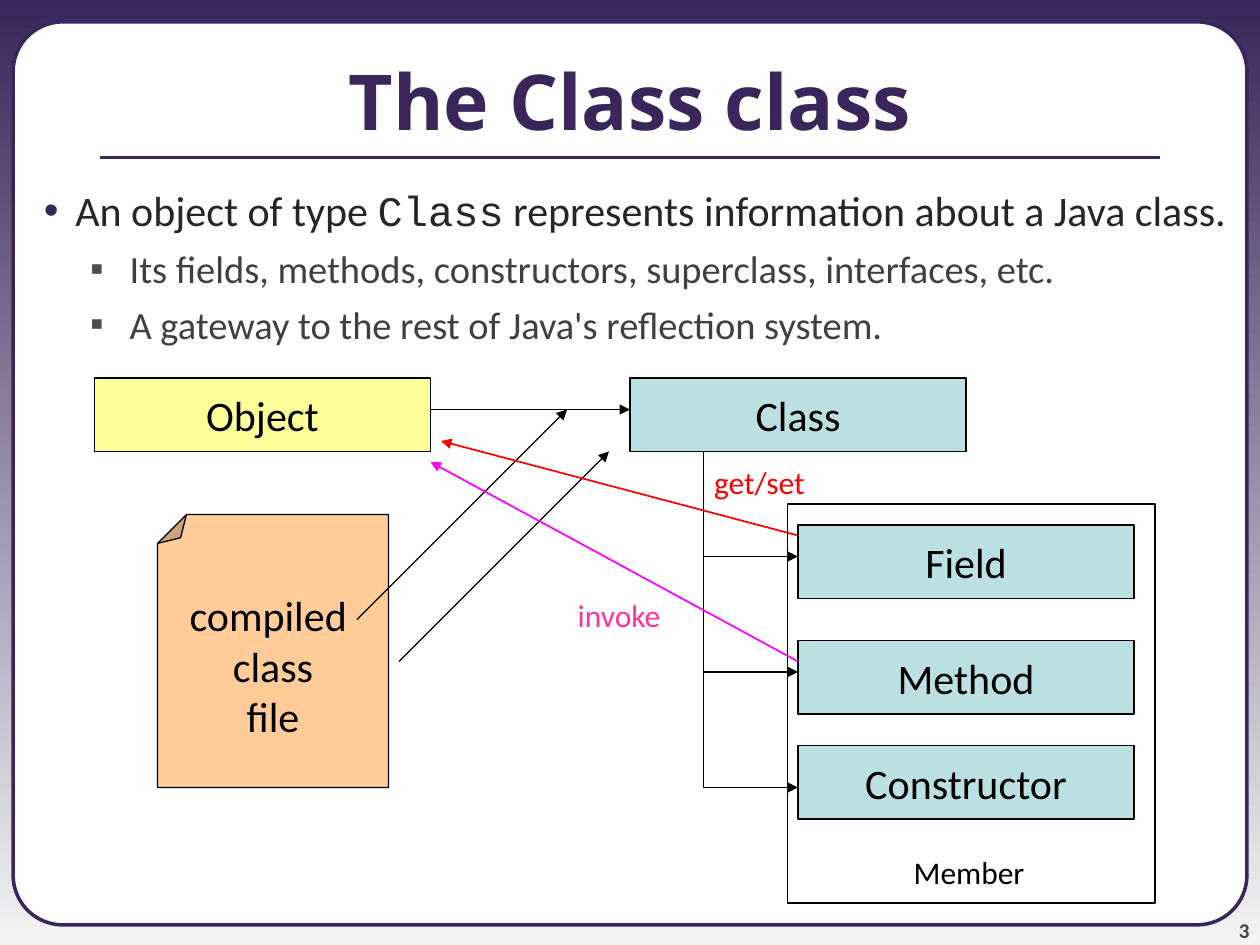
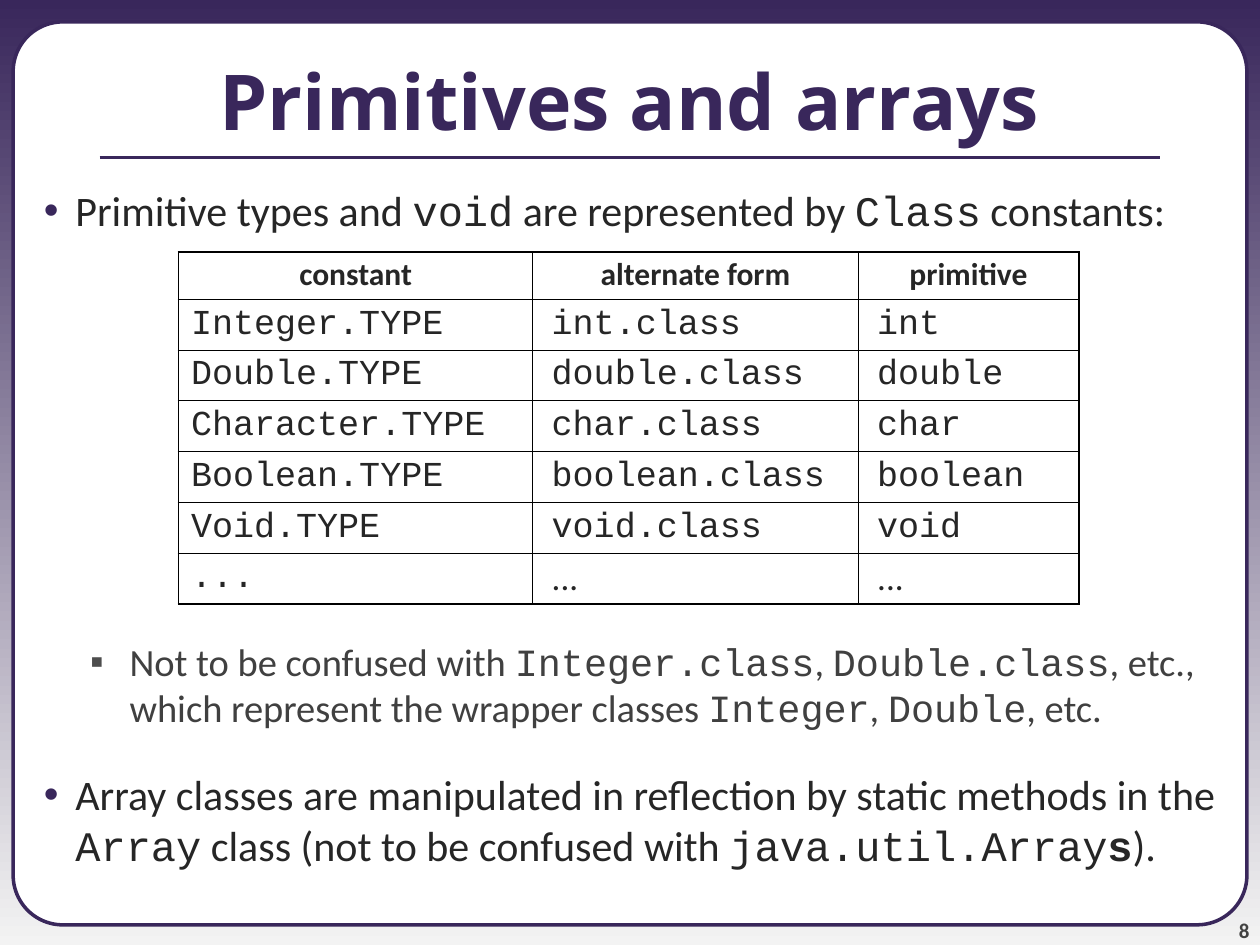
from lxml import etree
from pptx import Presentation
from pptx import util as u
from pptx.dml import color
from pptx.enum import shapes, text
from pptx.oxml import ns

Pt = u.Pt
CODE, BOLD_CODE = "code", "bold code"


class Theme:
    purple, pale, white, black = "39275B", "F3F3F3", "FFFFFF", "000000"
    body, detail, detail_bullet, number = "262626", "404040", "4D4D4D", "424242"
    blue, yellow, orange = "BBE0E3", "FFFF99", "FFCC99"
    red, magenta, pink = "FF0000", "FF00FF", "FF3399"
    text_font, title_font, code_font = "Calibri", "Open Sans", "Courier New"
    title_size, body_size, detail_size = 44, 24, 22
    code_size, label_size, number_size = 20, 18, 12
    thin, arrow, frame, rule = 0.75, 1, 2, 2.25
    table_edge, table_inner = 1.08, 0.45


# Bullet levels: mark, mark colour, text colour, size, left, hang, space before
LEVELS = [
    ("•", Theme.purple, Theme.body, Theme.body_size, 36, 18, 6),
    ("▪", Theme.detail_bullet, Theme.detail, Theme.detail_size, 67, 22.5, 5.5),
]

# ---- Content: each bullet is (level, spans); a span is text or (text, style)
CLASS_BULLETS = [
    (0, ["An object of type ", ("Class", CODE), " represents information about a Java class."]),
    (1, ["Its fields, methods, constructors, superclass, interfaces, etc."]),
    (1, ["A gateway to the rest of Java's reflection system."]),
]
# Diagram boxes: label, left, top, fill
BOX_SIZE = (192, 42)
DIAGRAM_BOXES = [
    ("Object", 54, 216, Theme.yellow),
    ("Class", 360, 216, Theme.blue),
    ("Field", 456, 300, Theme.blue),
    ("Method", 456, 366, Theme.blue),
    ("Constructor", 456, 426, Theme.blue),
]
MEMBER_FRAME = (450, 288, 210, 228)
CLASS_FILE = (90, 294, 132, 156)
CLASS_FILE_LINES = ["compiled ", "class", "file"]
TRUNK_X, TRUNK_TOP, BRANCH_YS, BRANCH_END = 402, 258, (318, 384, 450), 456
# Arrows: start, end, colour, width
ARROWS = [
    ((246, 234), (360, 234), Theme.black, Theme.thin),
    ((228, 378), (348, 258), Theme.black, Theme.thin),
    ((204, 354), (324, 234), Theme.black, Theme.thin),
    ((456, 306), (252, 252), Theme.red, Theme.arrow),
    ((456, 378), (246, 264), Theme.magenta, Theme.arrow),
]
# Free labels: text, left, top, width, colour
LABELS = [
    ("Member", 515, 484, 78, Theme.black),
    ("get/set", 401, 261, 67, Theme.red),
    ("invoke", 323, 337, 63, Theme.pink),
]

PRIMITIVE_BULLETS = [
    (0, ["Primitive types and ", ("void", CODE), " are represented by ",
         ("Class", CODE), " constants:"]),
]
TABLE_HEADER = ["constant", "alternate form", "primitive"]
TABLE_ROWS = [
    [f"{wrapper}.TYPE", f"{name}.class", name]
    for wrapper, name in [("Integer", "int"), ("Double", "double"), ("Character", "char"),
                          ("Boolean", "boolean"), ("Void", "void")]
] + [["...", "...", "..."]]
TABLE_LEFT, TABLE_TOP = 102, 144
COLUMN_WIDTHS = (202.5, 186, 126)
HEADER_HEIGHT, ROW_HEIGHT = 27, 29
ARRAY_BULLETS = [
    (1, ["Not to be confused with ", ("Integer.class", CODE), ", ", ("Double.class", CODE),
         ", etc., which represent the wrapper classes ", ("Integer", CODE), ", ",
         ("Double", CODE), ", etc."]),
    (0, ["Array classes are manipulated in reflection by static methods in the ",
         ("Array", CODE), " class (not to be confused with ", ("java.util.Array", CODE),
         ("s", BOLD_CODE), ")."]),
]
ARRAY_GAP = 22


# ---- Drawing helpers
def rgb(value):
    return color.RGBColor.from_string(value)


def add_xml(parent, tag, **attributes):
    return etree.SubElement(parent, ns.qn(tag), attributes)


def add_span(para, words, size, ink, font=Theme.text_font, bold=False):
    span = para.add_run()
    span.text = words
    span.font.size, span.font.name, span.font.bold = Pt(size), font, bold
    span.font.color.rgb = rgb(ink)


def add_box(page, left, top, width, height, wrap=True):
    box = page.shapes.add_textbox(Pt(left), Pt(top), Pt(width), Pt(height))
    box.text_frame.word_wrap = wrap
    return box


def add_shape(page, kind, place, fill=None, line=Theme.black, width=Theme.thin):
    shape = page.shapes.add_shape(kind, *map(Pt, place))
    shape.shadow.inherit = False
    if fill:
        shape.fill.solid()
        shape.fill.fore_color.rgb = rgb(fill)
    else:
        shape.fill.background()
    shape.line.color.rgb, shape.line.width = rgb(line), Pt(width)
    return shape


def add_line(page, start, end, ink=Theme.black, width=Theme.thin, arrow=False):
    line = page.shapes.add_connector(shapes.MSO_CONNECTOR.STRAIGHT, *map(Pt, start + end))
    line.line.color.rgb, line.line.width = rgb(ink), Pt(width)
    if arrow:
        add_xml(line.line._get_or_add_ln(), "a:tailEnd", type="triangle")
    add_xml(line._element.spPr, "a:effectLst")


def fill_centred(shape, lines):
    frame = shape.text_frame
    frame.word_wrap, frame.vertical_anchor = False, text.MSO_ANCHOR.MIDDLE
    for index, words in enumerate(lines):
        para = frame.add_paragraph() if index else frame.paragraphs[0]
        para.alignment = text.PP_ALIGN.CENTER
        add_span(para, words, Theme.body_size, Theme.black)


def add_bullets(page, top, height, bullets, gaps=None):
    frame = add_box(page, 0, top, 720, height).text_frame
    for index, (level, spans) in enumerate(bullets):
        mark, mark_ink, ink, size, left, hang, gap = LEVELS[level]
        para = frame.add_paragraph() if index else frame.paragraphs[0]
        if index:
            para.space_before = Pt(gaps or gap)
        para.level = level
        props = para._p.get_or_add_pPr()
        props.set("marL", str(Pt(left)))
        props.set("indent", str(-Pt(hang)))
        add_xml(add_xml(props, "a:buClr"), "a:srgbClr", val=mark_ink)
        add_xml(props, "a:buFont", typeface="Arial")
        add_xml(props, "a:buChar", char=mark)
        for span in spans:
            words, style = (span, None) if isinstance(span, str) else span
            font = Theme.code_font if style else Theme.text_font
            add_span(para, words, size, ink, font, style == BOLD_CODE)


def add_page(deck, title, number):
    page = deck.slides.add_slide(deck.slide_layouts[6])
    # Background and rounded panel
    fill = page.background.fill
    fill.gradient()
    fill.gradient_angle = 270
    for stop, ink, position in zip(fill.gradient_stops, (Theme.purple, Theme.pale), (0, 1)):
        stop.color.rgb, stop.position = rgb(ink), position
    panel = add_shape(page, shapes.MSO_SHAPE.ROUNDED_RECTANGLE, (7.5, 12.5, 705, 516),
                      Theme.white, Theme.purple, Theme.frame)
    panel.adjustments[0] = 0.055
    # Page number
    frame = add_box(page, 654, 510, 60, 28.5).text_frame
    frame.margin_left = frame.margin_right = frame.margin_top = frame.margin_bottom = 0
    frame.vertical_anchor = text.MSO_ANCHOR.BOTTOM
    frame.paragraphs[0].alignment = text.PP_ALIGN.RIGHT
    add_span(frame.paragraphs[0], number, Theme.number_size, Theme.number, bold=True)
    # Title and rule
    add_line(page, (57, 90), (663, 90), Theme.purple, Theme.rule)
    frame = add_box(page, 0, 12, 720, 90).text_frame
    frame.vertical_anchor = text.MSO_ANCHOR.MIDDLE
    frame.paragraphs[0].alignment = text.PP_ALIGN.CENTER
    add_span(frame.paragraphs[0], title, Theme.title_size, Theme.purple, Theme.title_font, True)
    return page


def set_borders(cell, row, column, last_row, last_column):
    props = cell._tc.get_or_add_tcPr()
    edges = {"L": column == 0, "R": column == last_column, "T": row == 0, "B": row == last_row}
    for position, (side, outer) in enumerate(edges.items()):
        width = Theme.table_edge if outer else Theme.table_inner
        border = etree.Element(ns.qn(f"a:ln{side}"), w=str(Pt(width)))
        add_xml(add_xml(border, "a:solidFill"), "a:srgbClr", val=Theme.black)
        props.insert(position, border)


# ---- Slides
def build_class_page(deck):
    page = add_page(deck, "The Class class", "3")
    add_bullets(page, 102, 110, CLASS_BULLETS)
    # Member frame and class boxes
    add_shape(page, shapes.MSO_SHAPE.RECTANGLE, MEMBER_FRAME)
    for label, left, top, fill in DIAGRAM_BOXES:
        box = add_shape(page, shapes.MSO_SHAPE.RECTANGLE, (left, top, *BOX_SIZE), fill)
        fill_centred(box, [label])
    # Compiled file, turned so that the fold is at the top left
    file = add_shape(page, shapes.MSO_SHAPE.FOLDED_CORNER, CLASS_FILE, Theme.orange)
    guides = file._element.spPr.find(ns.qn("a:prstGeom")).find(ns.qn("a:avLst"))
    add_xml(guides, "a:gd", name="adj", fmla="val 12500")
    file.rotation = 180
    fill_centred(file, CLASS_FILE_LINES)
    file.text_frame._txBody.bodyPr.set("rot", str(180 * 60000))
    # Tree from Class to its members
    add_line(page, (TRUNK_X, TRUNK_TOP), (TRUNK_X, BRANCH_YS[-1]))
    for y in BRANCH_YS:
        add_line(page, (TRUNK_X, y), (BRANCH_END, y), width=Theme.arrow, arrow=True)
    for start, end, ink, width in ARROWS:
        add_line(page, start, end, ink, width, arrow=True)
    for label, left, top, width, ink in LABELS:
        box = add_box(page, left, top, width, 29, wrap=False)
        add_span(box.text_frame.paragraphs[0], label, Theme.label_size, ink)


def build_primitives_page(deck):
    page = add_page(deck, "Primitives and arrays", "8")
    add_bullets(page, 102, 40, PRIMITIVE_BULLETS)
    # Table of constants
    rows = [TABLE_HEADER] + TABLE_ROWS
    heights = [HEADER_HEIGHT] + [ROW_HEIGHT] * len(TABLE_ROWS)
    table = page.shapes.add_table(len(rows), len(COLUMN_WIDTHS), Pt(TABLE_LEFT), Pt(TABLE_TOP),
                                  Pt(sum(COLUMN_WIDTHS)), Pt(sum(heights))).table
    table.first_row = table.horz_banding = False
    for column, width in zip(table.columns, COLUMN_WIDTHS):
        column.width = Pt(width)
    for r, values in enumerate(rows):
        table.rows[r].height = Pt(heights[r])
        for c, value in enumerate(values):
            cell = table.cell(r, c)
            cell.fill.background()
            set_borders(cell, r, c, len(rows) - 1, len(values) - 1)
            para = cell.text_frame.paragraphs[0]
            para.line_spacing = 0.9
            if r == 0:
                para.alignment = text.PP_ALIGN.CENTER
                add_span(para, value, Theme.label_size, Theme.body, bold=True)
                continue
            if c:
                para._p.get_or_add_pPr().set("marL", str(Pt(3.6)))
            font = Theme.text_font if c and value == "..." else Theme.code_font
            add_span(para, value, Theme.code_size, Theme.body, font)
    add_bullets(page, 361, 150, ARRAY_BULLETS, ARRAY_GAP)


def main():
    deck = Presentation()
    deck.slide_width, deck.slide_height = Pt(720), Pt(540)
    build_class_page(deck)
    build_primitives_page(deck)
    deck.save("out.pptx")


if __name__ == "__main__":
    main()
